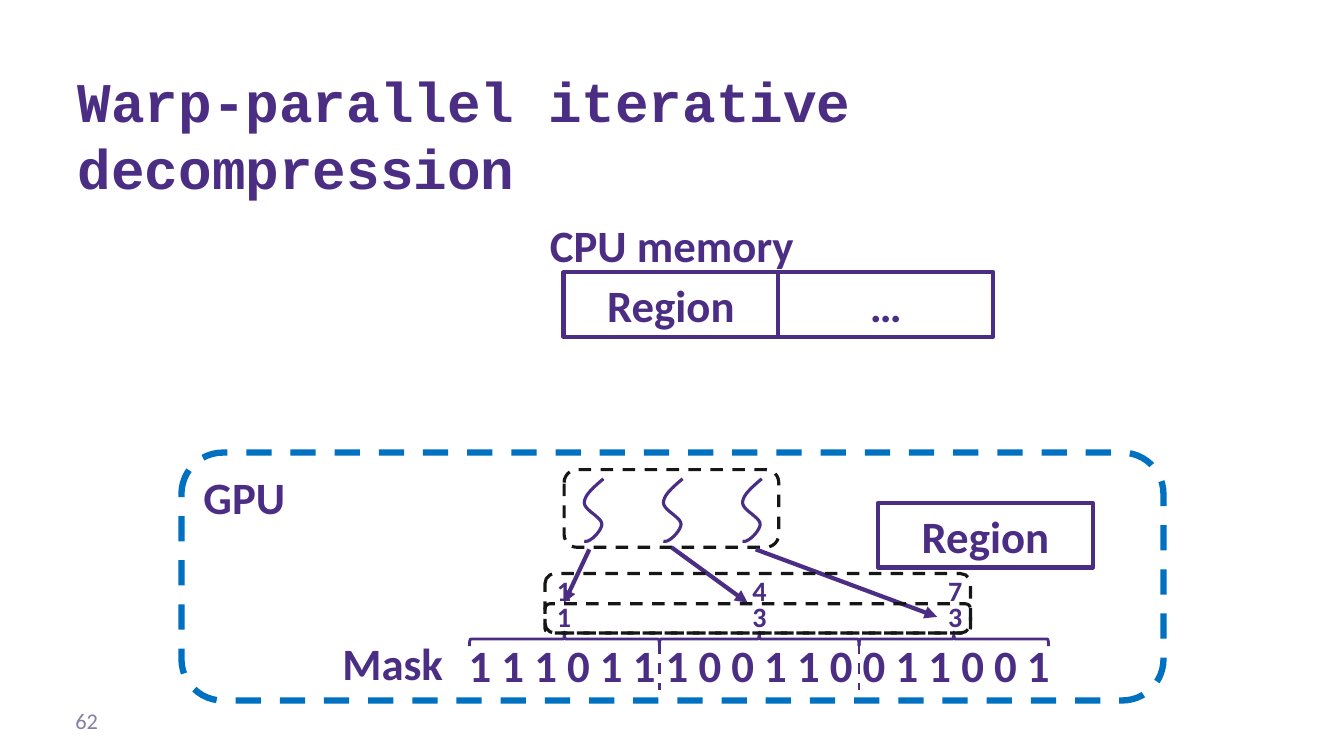
import dataclasses
import itertools

import lxml.etree
import pptx
import pptx.dml.color
import pptx.enum.dml
import pptx.enum.shapes
import pptx.enum.text
import pptx.oxml.ns
import pptx.util

SHAPE = pptx.enum.shapes.MSO_SHAPE
ALIGN = pptx.enum.text.PP_ALIGN
ANCHOR = pptx.enum.text.MSO_ANCHOR
GRID = pptx.util.Inches(0.1)


@dataclasses.dataclass(frozen=True)
class Theme:
    """Colours, fonts and type sizes of the deck."""
    ink: str = "4B2E83"
    muted: str = "867EA3"
    gpu: str = "0070C0"
    warp: str = "151616"
    title_font: str = "Courier New"
    body_font: str = "Calibri"
    title: int = 40
    label: int = 32
    digit: int = 20
    number: int = 16


@dataclasses.dataclass(frozen=True)
class Box:
    """A region measured in grid columns and rows."""
    left: float
    top: float
    cols: float
    rows: float

    def cell(self, col, row, cols=0, rows=0):
        """Return a box placed relative to this one."""
        return Box(self.left + col, self.top + row, cols, rows)

    def lengths(self):
        """Return left, top, width and height as slide lengths."""
        return [round(v * GRID) for v in (self.left, self.top, self.cols, self.rows)]


THEME = Theme()


def rgb(colour):
    """Return a colour from its hex digits."""
    return pptx.dml.color.RGBColor.from_string(colour)


def style_text(frame, text, size, align=ALIGN.LEFT, colour=THEME.ink, bold=True, font=THEME.body_font):
    """Write one formatted paragraph into a text frame."""
    frame.text = text
    paragraph = frame.paragraphs[0]
    paragraph.alignment = align
    paragraph.font.name = font
    paragraph.font.size = pptx.util.Pt(size)
    paragraph.font.bold = bold
    paragraph.font.color.rgb = rgb(colour)


def style_line(line, width, colour=THEME.ink, dashed=False):
    """Set the colour, width and dash of a line."""
    line.color.rgb = rgb(colour)
    line.width = pptx.util.Pt(width)
    if dashed:
        line.dash_style = pptx.enum.dml.MSO_LINE.DASH


def add_label(slide, box, text, size=THEME.label, align=ALIGN.LEFT):
    """Add a bold label that stays on one line."""
    frame = slide.shapes.add_textbox(*box.lengths()).text_frame
    frame.word_wrap = False
    style_text(frame, text, size, align)


def add_outline(slide, box, kind, width, colour=THEME.ink, dashed=False):
    """Add an unfilled preset shape."""
    outline = slide.shapes.add_shape(kind, *box.lengths())
    outline.shadow.inherit = False
    outline.fill.background()
    style_line(outline.line, width, colour, dashed)
    return outline


def add_region(slide, box, text):
    """Add a memory region with its centred name."""
    region = add_outline(slide, box, SHAPE.RECTANGLE, 3)
    region.text_frame.vertical_anchor = ANCHOR.MIDDLE
    style_text(region.text_frame, text, THEME.label, ALIGN.CENTER)


def add_line(slide, start, end, width, dashed=False, arrow=False):
    """Add a straight line between two places, with an optional arrowhead."""
    points = start.lengths()[:2] + end.lengths()[:2]
    connector = slide.shapes.add_connector(pptx.enum.shapes.MSO_CONNECTOR.STRAIGHT, *points)
    style_line(connector.line, width, dashed=dashed)
    properties = connector._element.spPr
    if arrow:
        head = lxml.etree.SubElement(properties.find(pptx.oxml.ns.qn("a:ln")), pptx.oxml.ns.qn("a:tailEnd"))
        head.set("type", "triangle")
    lxml.etree.SubElement(properties, pptx.oxml.ns.qn("a:effectLst"))
    return connector


def bezier(points, steps=10):
    """Return points along a cubic curve, without its start."""
    weights = (1, 3, 3, 1)
    return [
        tuple(sum(w * (1 - t) ** (3 - k) * t ** k * p[axis] for k, (w, p) in enumerate(zip(weights, points)))
              for axis in (0, 1))
        for t in (step / steps for step in range(1, steps + 1))
    ]


def add_thread(slide, box):
    """Add one wavy thread that fills the box."""
    knots = [(1, 0), (0.5, 0.13), (0, 0.26), (0, 0.38), (0, 0.5), (0.92, 0.61),
             (0.92, 0.72), (0.92, 0.82), (0.27, 1.03), (0, 0.99)]
    curve = [point for i in (0, 3, 6) for point in bezier(knots[i:i + 4])]
    left, top, width, height = box.lengths()
    places = [(round(left + x * width), round(top + y * height)) for x, y in knots[:1] + curve]
    builder = slide.shapes.build_freeform(*places[0])
    builder.add_line_segments(places[1:], close=False)
    thread = builder.convert_to_shape()
    thread.shadow.inherit = False
    thread.fill.background()
    style_line(thread.line, 2.25)


def add_heading(slide, box, text):
    """Place the title in its placeholder."""
    title = slide.shapes.title
    title.left, title.top, title.width, title.height = box.lengths()
    frame = title.text_frame
    frame.word_wrap = True
    frame.auto_size = pptx.enum.text.MSO_AUTO_SIZE.NONE
    frame.vertical_anchor = ANCHOR.BOTTOM
    frame.margin_bottom = 0
    style_text(frame, text, THEME.title, font=THEME.title_font)
    frame.paragraphs[0].line_spacing = pptx.util.Pt(48)


def add_page_number(slide, box, text):
    """Add the page number in the footer."""
    frame = slide.shapes.add_textbox(*box.lengths()).text_frame
    frame.word_wrap = True
    frame.vertical_anchor = ANCHOR.MIDDLE
    style_text(frame, text, THEME.number, colour=THEME.muted, bold=False)


def add_cpu_memory(slide, box):
    """Draw the CPU memory with its row of regions."""
    add_label(slide, box.cell(0, 0, 26.7, 6.4), "CPU memory", align=ALIGN.CENTER)
    for i, name in enumerate(("Region", "…")):
        add_region(slide, box.cell(2.6 + 21.3 * i, 5.9, 21.3, 6.4), name)


def add_mask(slide, box):
    """Draw the mask bits, split into one braced segment per thread."""
    add_label(slide, box.cell(0, 0, 12.1, 6.4), "Mask", align=ALIGN.CENTER)
    add_label(slide, box.cell(12.6, 0.2, 60.3, 6.4), "1 1 1 0 1 1 1 0 0 1 1 0 0 1 1 0 0 1")
    edges = (13.65, 32.5, 52.3, 71.1)
    for edge in edges[1:-1]:
        add_line(slide, box.cell(edge, 1.2), box.cell(edge, 5.9), 2, dashed=True)
    depth = 1.4
    for start, end in itertools.pairwise(edges):
        span = end - start
        middle = (start + end) / 2
        brace = add_outline(slide, box.cell((middle - depth / 2), 0.8 - span / 2, depth, span), SHAPE.LEFT_BRACE, 2)
        brace.rotation = 90


def add_warp(slide, box):
    """Draw the warp, its threads and the values each thread reads."""
    warp = add_outline(slide, box.cell(1.9, 0, 21.3, 7.7), SHAPE.ROUNDED_RECTANGLE, 2.25, THEME.warp, True)
    targets = ((1.9, 13.2), (20.1, 13.2), (38.9, 14.6))
    for i, target in enumerate(targets):
        add_thread(slide, box.cell(3.9 + 7.85 * i, 0.9, 1.9, 6.25))
        arrow = add_line(slide, box.cell(4.4 + 8.25 * i, 7.9), box.cell(*target), 3, arrow=True)
        if i == 1:
            arrow.begin_connect(warp, 2)
    for row, digits in ((9.8, "147"), (12.4, "133")):
        for i, digit in enumerate(digits):
            add_label(slide, box.cell(0.2 + 19.4 * i, row, 3.4, 4.4), digit, THEME.digit)
    for row, rows in ((13.3, 2.9), (10.3, 5.9)):
        add_outline(slide, box.cell(0, row, 42.2, rows), SHAPE.ROUNDED_RECTANGLE, 2.25, THEME.warp, True)


def add_gpu(slide, box):
    """Draw the GPU frame with its region, mask and warp."""
    gpu = add_outline(slide, box, SHAPE.ROUNDED_RECTANGLE, 4.5, THEME.gpu, True)
    gpu.text_frame.vertical_anchor = ANCHOR.TOP
    style_text(gpu.text_frame, "GPU", THEME.label)
    add_region(slide, box.cell(69.1, 5, 21.3, 6.4), "Region")
    add_mask(slide, box.cell(14.9, 17.7))
    add_warp(slide, box.cell(36.05, 1.7))


def main():
    """Build and save the slide."""
    deck = pptx.Presentation()
    deck.slide_width, deck.slide_height = pptx.util.Inches(13.33), pptx.util.Inches(7.5)
    slide = deck.slides.add_slide(deck.slide_layouts[5])
    add_heading(slide, Box(6.7, 5.4, 119.2, 14.5), "Warp-parallel iterative decompression")
    add_page_number(slide, Box(6.5, 69.5, 30, 4), "62")
    add_cpu_memory(slide, Box(53.3, 21.1, 45.2, 12.3))
    add_gpu(slide, Box(18, 44.9, 97.4, 24.6))
    deck.save("out.pptx")


if __name__ == "__main__":
    main()
